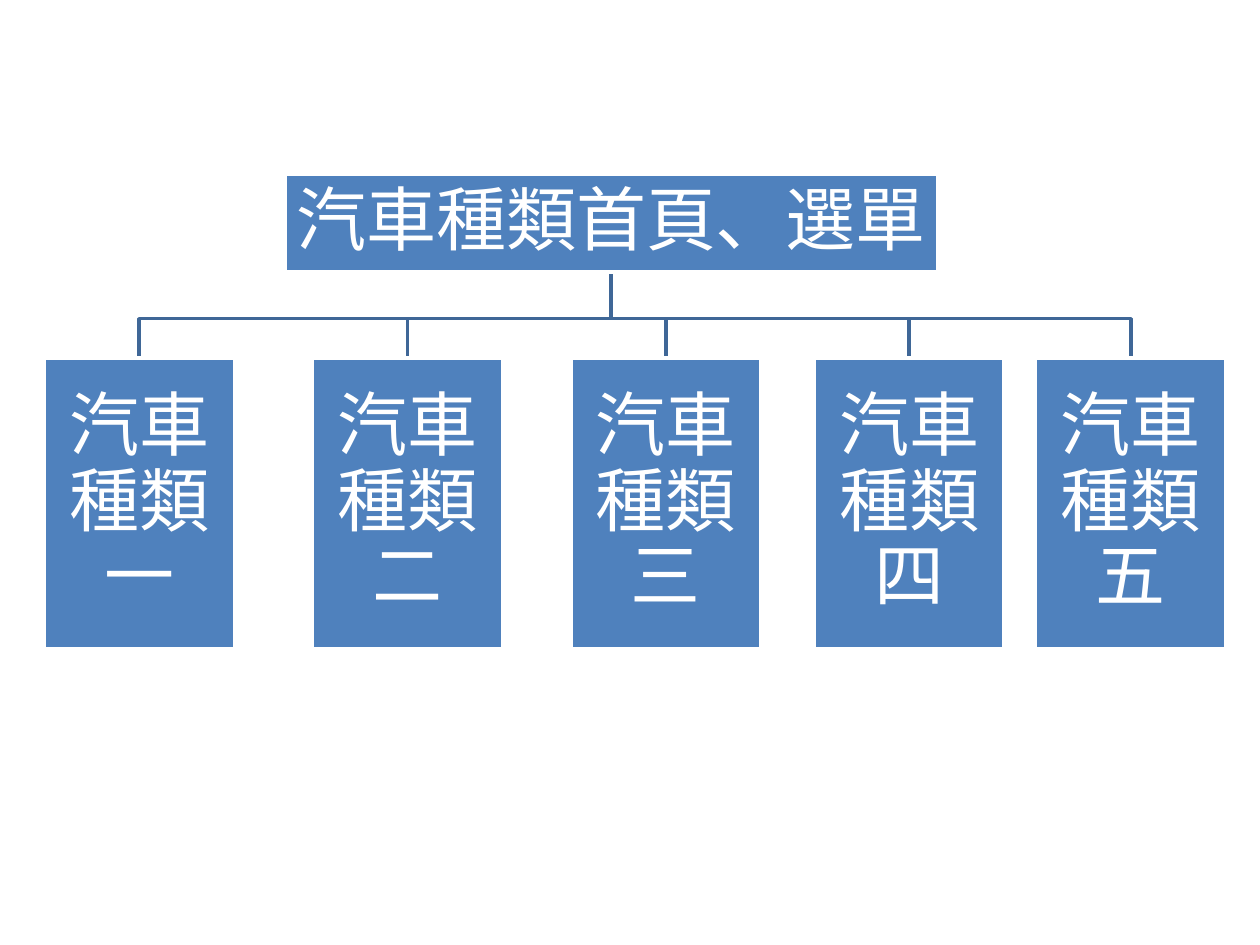
from pptx import Presentation
from pptx.dml.color import RGBColor
from pptx.enum.shapes import MSO_SHAPE as Shape
from pptx.enum.text import MSO_ANCHOR as Anchor, PP_ALIGN as Align
from pptx.util import Inches, Pt

COLORS = {"box": "4F81BD", "branch": "3F6797", "white": "FFFFFF"}
COLUMNS, ROWS = 100, 75  # grid cells across and down the slide


class Chart:
    """Style and current slide of an organisation chart."""

    font, size, line_width, inset = "Calibri", Pt(40), Pt(2), Inches(0.03)

    def __init__(self, deck):
        self.slide = deck.slides.add_slide(deck.slide_layouts[6])
        self.column = deck.slide_width / COLUMNS
        self.row = deck.slide_height / ROWS

    def point(self, column, row):
        return round(column * self.column), round(row * self.row)

    def outline(self, shape, color):
        shape.shadow.inherit = False
        shape.line.color.rgb = RGBColor.from_string(COLORS[color])
        shape.line.width = self.line_width

    def branch(self, start, end, bend):
        """Draw an elbow line that turns at the row given by bend."""
        corners = [(start[0], bend), (end[0], bend), end]
        builder = self.slide.shapes.build_freeform(*self.point(*start))
        builder.add_line_segments([self.point(*corner) for corner in corners], close=False)
        line = builder.convert_to_shape()
        line.fill.background()
        self.outline(line, "branch")

    def box(self, text, left, top, width, height):
        box = self.slide.shapes.add_shape(
            Shape.RECTANGLE, *self.point(left, top), *self.point(width, height))
        box.fill.solid()
        box.fill.fore_color.rgb = RGBColor.from_string(COLORS["box"])
        self.outline(box, "white")

        frame = box.text_frame
        frame.text = text
        frame.word_wrap = True
        frame.vertical_anchor = Anchor.MIDDLE
        frame.margin_left = frame.margin_right = self.inset
        frame.margin_top = frame.margin_bottom = self.inset
        para = frame.paragraphs[0]
        para.alignment = Align.CENTER
        para.line_spacing = 0.9
        para.space_after = Pt(14)
        font = para.runs[0].font
        font.name, font.size = self.font, self.size
        font.color.rgb = RGBColor.from_string(COLORS["white"])


deck = Presentation()
deck.slide_width, deck.slide_height = Inches(10), Inches(7.5)
chart = Chart(deck)

# Layout in grid cells
menu_left, menu_top, menu_width, menu_height = 22.6, 13.8, 51.8, 7.8
page_top, page_width, page_height = 28.4, 15.1, 23.1
pages = {"一": 3.5, "二": 24.8, "三": 45.3, "四": 64.6, "五": 82.2}
menu_foot = (menu_left + menu_width / 2, menu_top + menu_height)

# Branches behind the boxes
for left in reversed(pages.values()):
    chart.branch(menu_foot, (left + page_width / 2, page_top), bend=25.3)

# Menu page and the pages below it
chart.box("汽車種類首頁、選單", menu_left, menu_top, menu_width, menu_height)
for number, left in pages.items():
    chart.box("汽車種類" + number, left, page_top, page_width, page_height)

deck.save("out.pptx")
